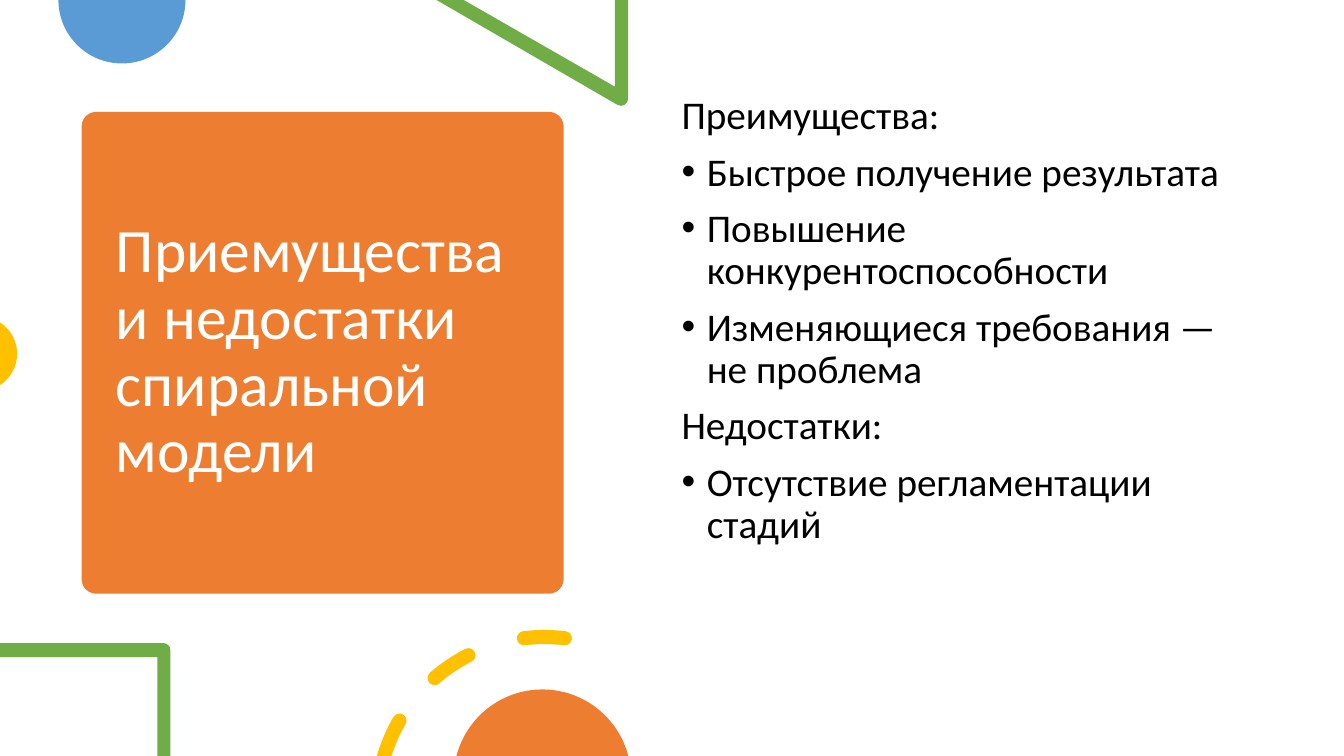
from math import asin, ceil, cos, degrees, radians, sin, tan
from lxml.etree import SubElement
from pptx import Presentation
from pptx.dml.color import RGBColor
from pptx.enum.shapes import MSO_SHAPE
from pptx.enum.text import MSO_ANCHOR, MSO_AUTO_SIZE, PP_ALIGN
from pptx.oxml.ns import qn
from pptx.util import Inches, Pt

COLS, ROWS = 13.33, 7.5
ORANGE, BLUE, GREEN, GOLD = "ED7D31", "5B9BD5", "70AD47", "FFC000"
TITLE = "Приемущества и недостатки спиральной модели"
POINTS = [
    ("Преимущества:", False),
    ("Быстрое получение результата", True),
    ("Повышение конкурентоспособности", True),
    ("Изменяющиеся требования — не проблема", True),
    ("Недостатки:", False),
    ("Отсутствие регламентации стадий", True),
]


def color(code):
    return RGBColor.from_string(code)


def paint(shape, code):
    shape.shadow.inherit = False
    shape.fill.solid()
    shape.fill.fore_color.rgb = color(code)
    shape.line.fill.background()


def line(*points):
    return [[point] for point in points]


def spot(x, y, radius, turn):
    return x + radius * cos(turn), y + radius * sin(turn)


def arc(x, y, radius, start, end):
    count = ceil(abs(end - start) / 90)
    step = radians(end - start) / count
    pull = radius * 4 / 3 * tan(step / 4)
    steps = line(spot(x, y, radius, radians(start)))
    for i in range(count):
        a = radians(start) + i * step
        b = a + step
        (ax, ay), (bx, by) = spot(x, y, radius, a), spot(x, y, radius, b)
        steps.append([(ax - pull * sin(a), ay + pull * cos(a)),
                      (bx + pull * sin(b), by - pull * cos(b)), (bx, by)])
    return steps


def dash(x, y, radius, half, start, end):
    def low(size):
        return max(start, 180 + degrees(asin((y - ROWS) / size)))

    def cap(turn, first):
        mid = spot(x, y, radius, radians(turn))
        return arc(*mid, half, first, first + 180)[1:]

    outer, inner = radius + half, radius - half
    steps = arc(x, y, outer, low(outer), end) + cap(end, end)
    steps += arc(x, y, inner, end, low(inner))[1:]
    return steps + (cap(start, start + 180) if low(radius) == start else [])


def bend(shape, sizes):
    lines = iter(list(shape._element.iter(qn("a:lnTo"))))
    for size in sizes:
        group = [next(lines) for _ in range(size)]
        if size == 3:
            group[0].tag = qn("a:cubicBezTo")
            for item in group[1:]:
                group[0].append(item[0])
                item.getparent().remove(item)


def outline(slide, code, *parts):
    pen = None
    for part in parts:
        head, *rest = [[(Inches(x), Inches(y)) for x, y in step] for step in part]
        if pen:
            pen.move_to(*head[0])
        else:
            pen = slide.shapes.build_freeform(*head[0], scale=1.0)
        pen.add_line_segments([point for step in rest for point in step])
    shape = pen.convert_to_shape()
    bend(shape, [len(step) for part in parts for step in part[1:]])
    paint(shape, code)


def panel(slide, code, x, y, side):
    card = slide.shapes.add_shape(MSO_SHAPE.ROUNDED_RECTANGLE,
                                  *map(Inches, (x, y, side, side)))
    card.adjustments[0] = 0.03
    paint(card, code)


def place(slide, holder, box, anchor):
    holder.left, holder.top, holder.width, holder.height = map(Inches, box)
    frame = holder.text_frame
    frame.word_wrap = True
    frame.auto_size = MSO_AUTO_SIZE.NONE
    frame.vertical_anchor = anchor
    slide.shapes._spTree.append(holder._element)
    return frame


def style(para, text, size, code, gap=0):
    para.text = text
    para.alignment = PP_ALIGN.LEFT
    para.line_spacing = 0.9
    para.space_before = Pt(gap)
    para.font.name = "Calibri"
    para.font.size = Pt(size)
    para.font.color.rgb = color(code)


def bullet(para, shown):
    props = para._p.get_or_add_pPr()
    props.set("marL", str(Inches(0.25)))
    props.set("indent", str(Inches(-0.25)))
    if shown:
        SubElement(props, qn("a:buFont")).set("typeface", "Arial")
        SubElement(props, qn("a:buChar")).set("char", "•")
    else:
        SubElement(props, qn("a:buNone"))
    props.append(props.find(qn("a:defRPr")))


def decor(slide):
    outline(slide, BLUE, arc(1.21, 0, 0.63, 0, 180) + line((0.58, 0)))
    outline(slide, GREEN, line((4.33, 0), (4.6, 0), (6.1, 0.86), (6.1, 0), (6.23, 0))
            + arc(6.16, 0.98, 0.07, 0, 120))
    outline(slide, GOLD, arc(-0.2, 3.51, 0.37, -57, 57))
    outline(slide, GREEN, line((0, 6.38)) + arc(1.62, 6.45, 0.07, -90, 0)
            + line((1.69, 7.5), (1.56, 7.5), (1.56, 6.52), (0, 6.52)))
    spans = [(180, 210), (229, 243), (263, 277)]
    outline(slide, GOLD, *[dash(5.4, 7.98, 1.66, 0.07, *span) for span in spans])
    outline(slide, ORANGE, arc(5.38, 7.72, 0.88, 194.5, 345.5))


def main():
    deck = Presentation()
    deck.slide_width, deck.slide_height = Inches(COLS), Inches(ROWS)
    slide = deck.slides.add_slide(deck.slide_layouts[1])
    panel(slide, ORANGE, 0.81, 1.11, 4.78)
    title = place(slide, slide.shapes.title, (1.05, 1.22, 4.31, 4.56), MSO_ANCHOR.MIDDLE)
    style(title.paragraphs[0], TITLE, 44, "FFFFFF")
    decor(slide)
    body = place(slide, slide.placeholders[1], (6.66, 0.9, 5.75, 5.35), MSO_ANCHOR.TOP)
    for i, (text, shown) in enumerate(POINTS):
        para = body.add_paragraph() if i else body.paragraphs[0]
        style(para, text, 28, "000000", 10)
        bullet(para, shown)
    deck.save("out.pptx")


main()
